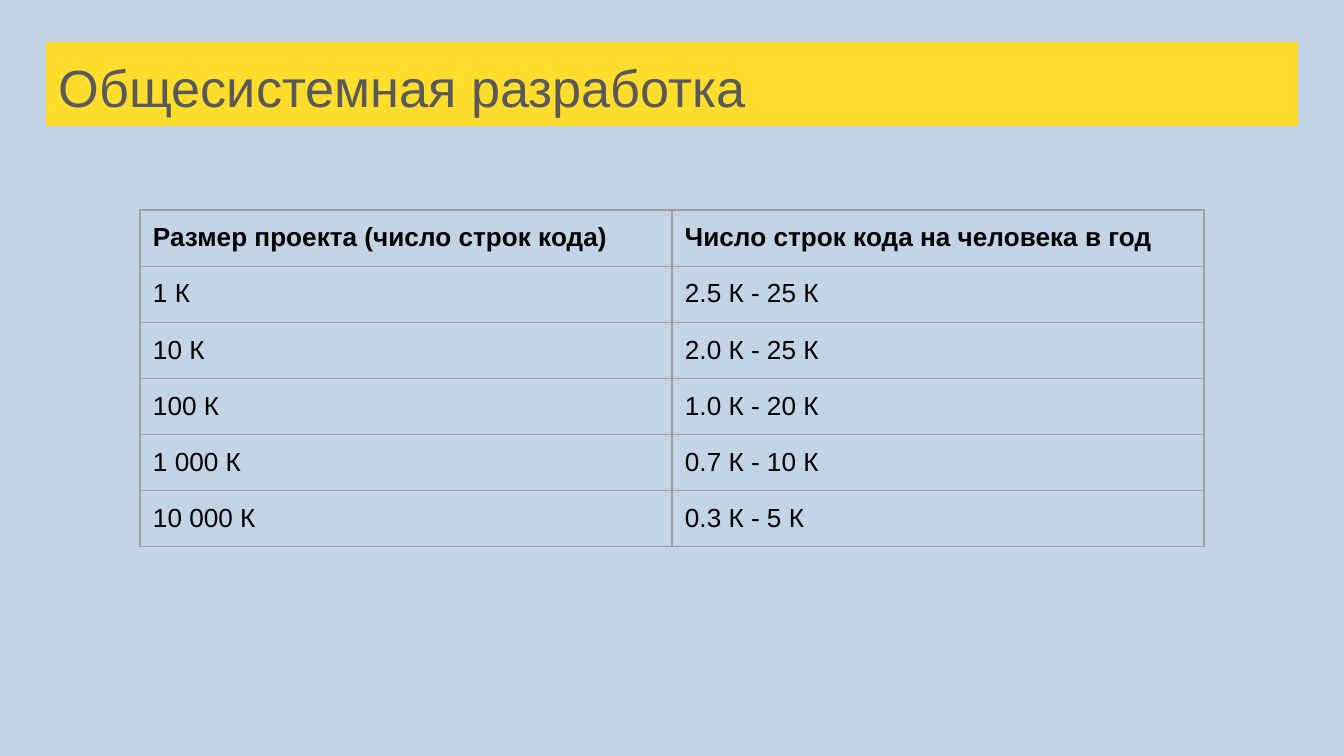
from dataclasses import dataclass

from lxml import etree
from pptx import Presentation
from pptx.dml.color import RGBColor
from pptx.enum.shapes import MSO_SHAPE
from pptx.enum.text import MSO_ANCHOR, PP_ALIGN
from pptx.oxml.ns import qn
from pptx.util import Emu, Pt

RECT = MSO_SHAPE.RECTANGLE
TOP = MSO_ANCHOR.TOP
LEFT = PP_ALIGN.LEFT
PX_PER_INCH = 134.4
BLANK = 6


@dataclass(frozen=True)
class Theme:
    background: str = "C3D4E6"
    banner: str = "FFDD2D"
    title: str = "595959"
    text: str = "000000"
    border: str = "9E9E9E"
    font: str = "Arial"
    title_size: int = 28
    table_size: int = 14
    border_width: float = 0.75
    inset: int = 13


THEME = Theme()

TITLE = "Общесистемная разработка"
PRODUCTIVITY = [
    ("Размер проекта (число строк кода)", "Число строк кода на человека в год"),
    ("1 К", "2.5 К - 25 К"),
    ("10 К", "2.0 К - 25 К"),
    ("100 К", "1.0 К - 20 К"),
    ("1 000 К", "0.7 К - 10 К"),
    ("10 000 К", "0.3 К - 5 К"),
]


def px(n):
    return Emu(round(n * 914400 / PX_PER_INCH))


def rgb(value):
    return RGBColor.from_string(value)


def set_insets(box):
    box.margin_left = box.margin_right = px(THEME.inset)
    box.margin_top = box.margin_bottom = px(THEME.inset)
    box.vertical_anchor = TOP


def add_text(tf, text, size, color, bold=False):
    tf.word_wrap = True
    p = tf.paragraphs[0]
    p.alignment = LEFT
    r = p.add_run()
    r.text = text
    r.font.name = THEME.font
    r.font.size = Pt(size)
    r.font.bold = bold
    r.font.color.rgb = rgb(color)


def set_borders(cell):
    tc_pr = cell._tc.get_or_add_tcPr()
    for i, side in enumerate(("a:lnL", "a:lnR", "a:lnT", "a:lnB")):
        ln = etree.Element(qn(side), w=str(Pt(THEME.border_width)))
        fill = etree.SubElement(ln, qn("a:solidFill"))
        etree.SubElement(fill, qn("a:srgbClr"), val=THEME.border)
        tc_pr.insert(i, ln)  # borders come before the cell fill


def add_banner(s, x, y, w, h, text):
    sp = s.shapes.add_shape(RECT, px(x), px(y), px(w), px(h))
    sp.shadow.inherit = False
    sp.fill.solid()
    sp.fill.fore_color.rgb = rgb(THEME.banner)
    sp.line.fill.background()
    set_insets(sp.text_frame)
    add_text(sp.text_frame, text, THEME.title_size, THEME.title)


def add_grid(s, x, y, w, h, rows):
    n_rows, n_cols = len(rows), len(rows[0])
    frame = s.shapes.add_table(n_rows, n_cols, px(x), px(y), px(w), px(h))
    table = frame.table
    table.horz_banding = False
    for col in table.columns:
        col.width = px(w / n_cols)
    for i, row in enumerate(rows):
        table.rows[i].height = px(h / n_rows)
        for j, text in enumerate(row):
            cell = table.cell(i, j)
            cell.fill.background()
            set_insets(cell)
            set_borders(cell)
            add_text(cell.text_frame, text, THEME.table_size, THEME.text, bold=i == 0)


def main():
    prs = Presentation()
    prs.slide_width, prs.slide_height = px(1344), px(756)
    s = prs.slides.add_slide(prs.slide_layouts[BLANK])
    s.background.fill.solid()
    s.background.fill.fore_color.rgb = rgb(THEME.background)

    # Title banner
    add_banner(s, 46, 42, 1252, 84, TITLE)

    # Productivity by project size
    add_grid(s, 140, 210, 1064, 337, PRODUCTIVITY)

    prs.save("out.pptx")


if __name__ == "__main__":
    main()
